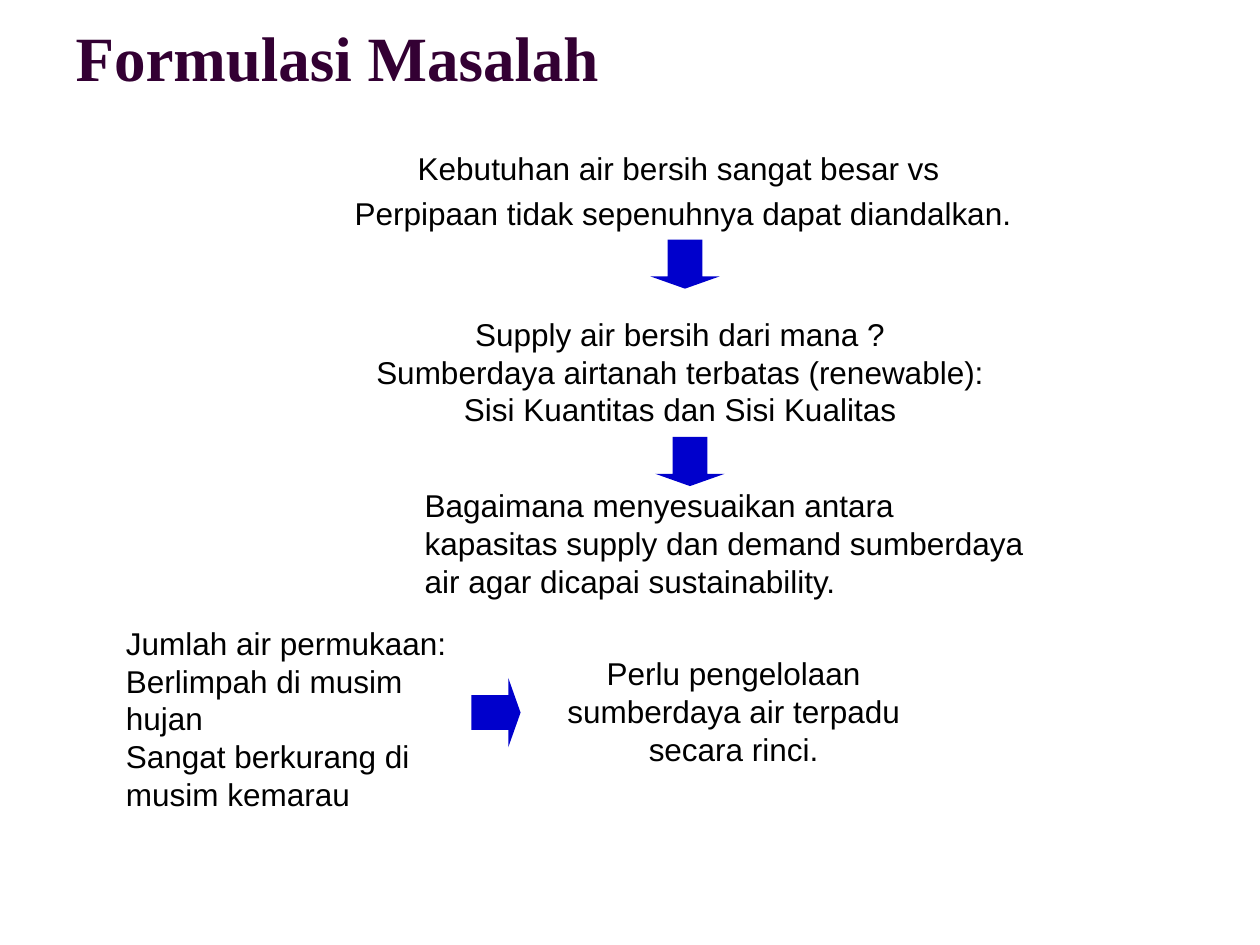
import pptx
import pptx.dml.color
import pptx.enum.shapes
import pptx.enum.text
import pptx.util

Cm = pptx.util.Cm
Pt = pptx.util.Pt
ALIGN = pptx.enum.text.PP_ALIGN

PLUM = pptx.dml.color.RGBColor(0x33, 0x00, 0x33)
BLACK = pptx.dml.color.RGBColor(0x00, 0x00, 0x00)
BLUE = pptx.dml.color.RGBColor(0x00, 0x00, 0xCC)

ARROW_WIDTH, ARROW_HEIGHT = 1.4, 0.99


def style(paragraph, font_name, size, color, bold, align):
    paragraph.alignment = align
    paragraph.font.name = font_name
    paragraph.font.size = Pt(size)
    paragraph.font.color.rgb = color
    paragraph.font.bold = bold


def add_text(slide, left, top, width, height, lines, align=ALIGN.CENTER, space_before=0):
    shape = slide.shapes.add_textbox(Cm(left), Cm(top), Cm(width), Cm(height))
    text_frame = shape.text_frame
    text_frame.word_wrap = True
    text_frame.text = "\n".join(lines)
    for paragraph in text_frame.paragraphs:
        style(paragraph, "Arial", 18, BLACK, False, align)
        paragraph.space_before = Pt(space_before)


def add_arrow(slide, left, top, rotation=0):
    shape = slide.shapes.add_shape(
        pptx.enum.shapes.MSO_SHAPE.DOWN_ARROW,
        Cm(left), Cm(top), Cm(ARROW_WIDTH), Cm(ARROW_HEIGHT))
    shape.adjustments[0] = 0.5
    shape.adjustments[1] = 0.25
    shape.rotation = rotation
    shape.shadow.inherit = False
    shape.fill.solid()
    shape.fill.fore_color.rgb = BLUE
    shape.line.fill.background()


def place_title(slide, left, top, width, height):
    title = slide.shapes.title
    title.left, title.top = Cm(left), Cm(top)
    title.width, title.height = Cm(width), Cm(height)
    title.text_frame.text = "Formulasi Masalah"
    title.text_frame.vertical_anchor = pptx.enum.text.MSO_ANCHOR.MIDDLE
    style(title.text_frame.paragraphs[0], "Times New Roman", 36, PLUM, True, ALIGN.LEFT)


def add_problem_flow(slide, left, top, width):
    # Demand
    add_text(slide, left, top, width, 2.06,
             ["Kebutuhan air bersih sangat besar vs ",
              "Perpipaan tidak sepenuhnya dapat diandalkan."], space_before=4.5)
    add_arrow(slide, left + 6.84, top + 1.96)
    # Supply
    add_text(slide, left + 0.44, top + 3.35, width - 1, 2.54,
             ["Supply air bersih dari mana ?",
              "Sumberdaya airtanah terbatas (renewable):",
              "Sisi Kuantitas dan Sisi Kualitas"])
    add_arrow(slide, left + 6.94, top + 5.94)
    # Balance of both
    add_text(slide, left + 2.04, top + 6.81, width - 2.3, 2.54,
             ["Bagaimana menyesuaikan antara kapasitas supply dan demand "
              "sumberdaya air agar dicapai sustainability."], ALIGN.LEFT)


def add_surface_water_row(slide, left, top, width):
    # Surface water
    add_text(slide, left, top, 7.59, 4.06,
             ["Jumlah air permukaan:",
              "Berlimpah di musim hujan",
              "Sangat berkurang di musim kemarau"], ALIGN.LEFT)
    add_arrow(slide, left + 7.01, top + 1.42, rotation=270)
    # Management
    add_text(slide, left + 8.4, top + 0.61, width - 8.4, 2.54,
             ["Perlu pengelolaan sumberdaya air terpadu secara rinci."])


def main():
    presentation = pptx.Presentation()
    presentation.slide_width = Cm(25.4)
    presentation.slide_height = Cm(19.05)
    slide = presentation.slides.add_slide(presentation.slide_layouts[5])
    place_title(slide, 1.27, 0.13, 22.86, 2.01)
    add_problem_flow(slide, 6.27, 2.87, 15)
    add_surface_water_row(slide, 2.29, 12.45, 16.6)
    presentation.save("out.pptx")


if __name__ == "__main__":
    main()
